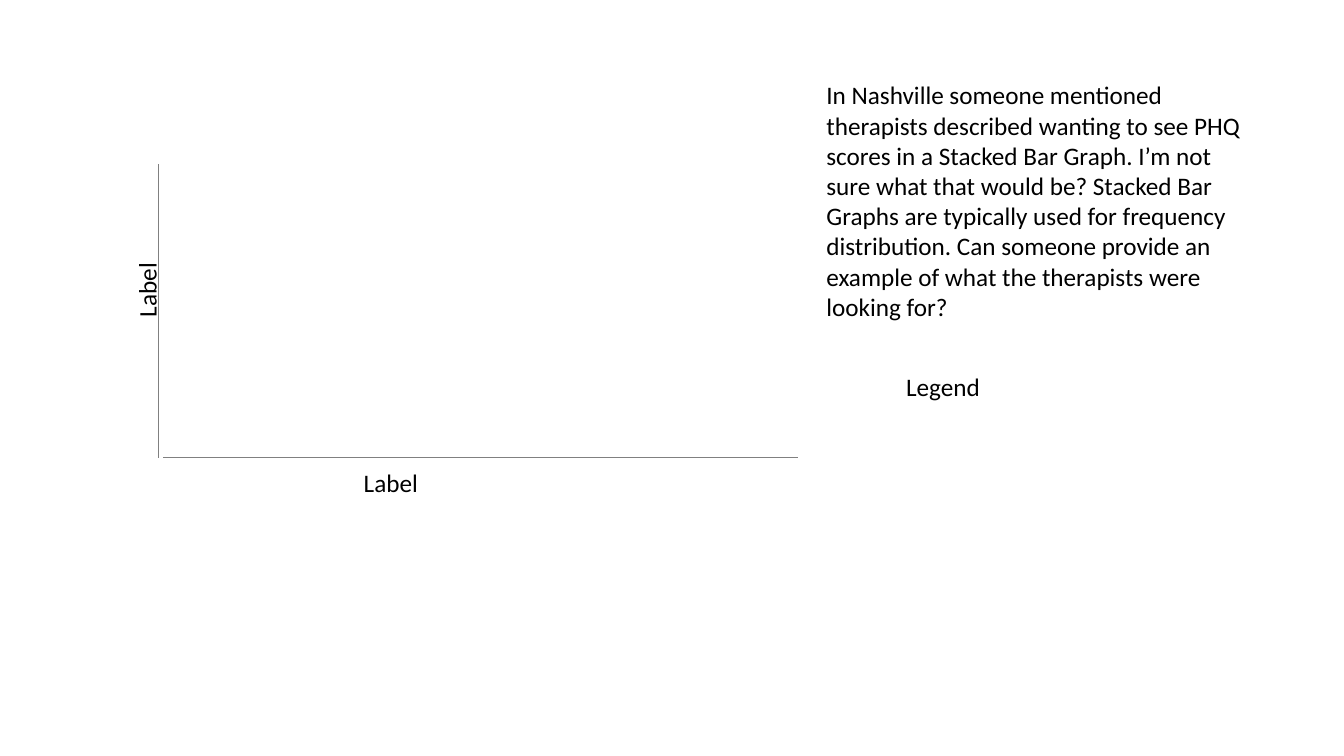
"""Build a slide with empty chart axes, their labels and a question on stacked bar graphs."""
from pptx import Presentation
from pptx.dml.color import RGBColor
from pptx.enum.shapes import MSO_CONNECTOR
from pptx.enum.text import MSO_AUTO_SIZE
from pptx.oxml.ns import qn
from pptx.util import Pt

COLORS = {"text": "000000", "axis": "808080"}
FONT = "Calibri"
QUESTION = (
    "In Nashville someone mentioned therapists described wanting to see PHQ scores "
    "in a Stacked Bar Graph. I’m not sure what that would be? Stacked Bar Graphs are "
    "typically used for frequency distribution. Can someone provide an example of what "
    "the therapists were looking for?"
)

AXES = [
    (113, 117.4, 113, 326.9),
    (116.6, 326.9, 570.2, 326.9),
]
TEXTS = [
    ("Label", (252.7, 330.5, 54, 29.08), 0, False),
    ("Label", (77.8, 192.2, 54, 29.08), 270, False),
    ("Legend", (640.1, 261.4, 67.7, 29.08), 0, False),
    (QUESTION, (583.2, 53.3, 310.3, 181.4), 0, True),
]


def add_axis(slide, ends):
    axis = slide.shapes.add_connector(MSO_CONNECTOR.STRAIGHT, *map(Pt, ends))
    axis.line.color.rgb = RGBColor.from_string(COLORS["axis"])
    axis.line.width = Pt(0.5)
    properties = axis._element.spPr
    properties.append(properties.makeelement(qn("a:effectLst"), {}))


def add_text(slide, text, box, rotation, wraps):
    shape = slide.shapes.add_textbox(*map(Pt, box))
    shape.rotation = rotation
    frame = shape.text_frame
    frame.word_wrap = wraps
    frame.auto_size = MSO_AUTO_SIZE.SHAPE_TO_FIT_TEXT
    run = frame.paragraphs[0].add_run()
    run.text = text
    run.font.name = FONT
    run.font.size = Pt(18)
    run.font.color.rgb = RGBColor.from_string(COLORS["text"])


presentation = Presentation()
presentation.slide_width, presentation.slide_height = Pt(960), Pt(540)
slide = presentation.slides.add_slide(presentation.slide_layouts[6])
for ends in AXES:
    add_axis(slide, ends)
for text_item in TEXTS:
    add_text(slide, *text_item)
presentation.save("out.pptx")
